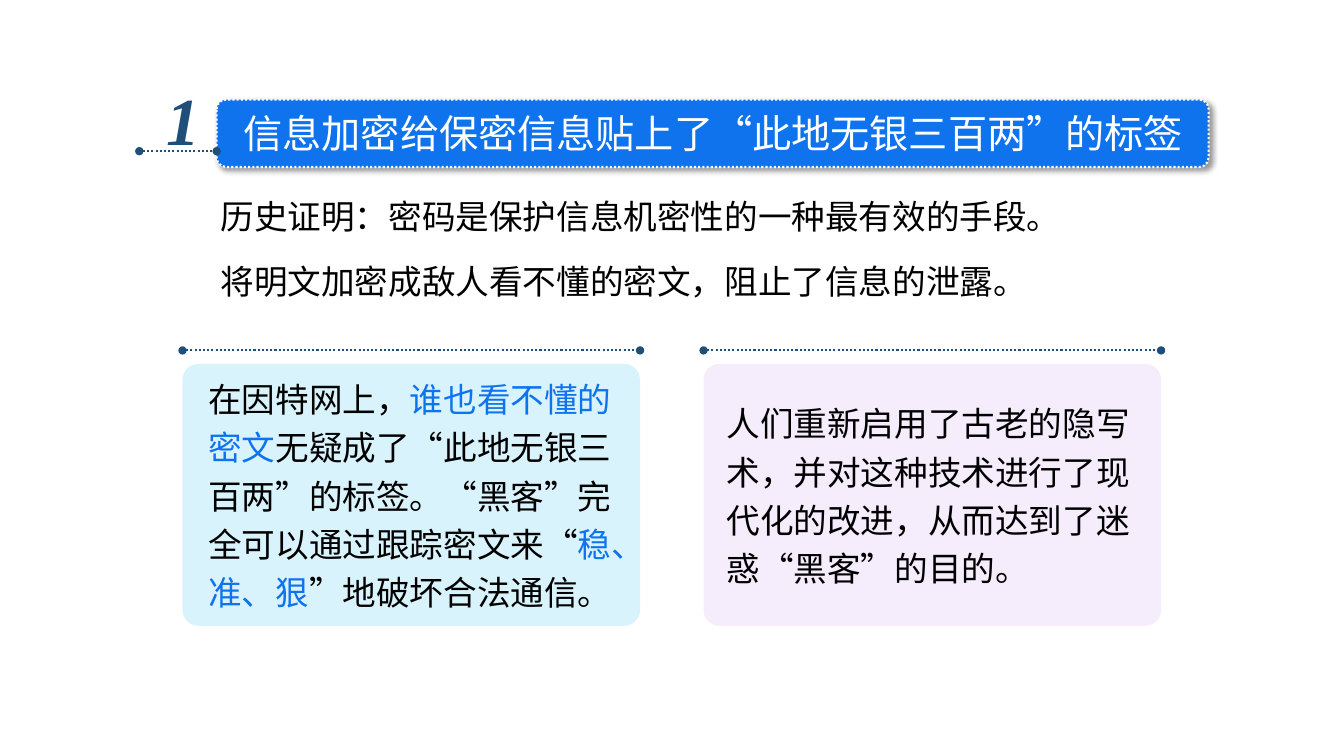
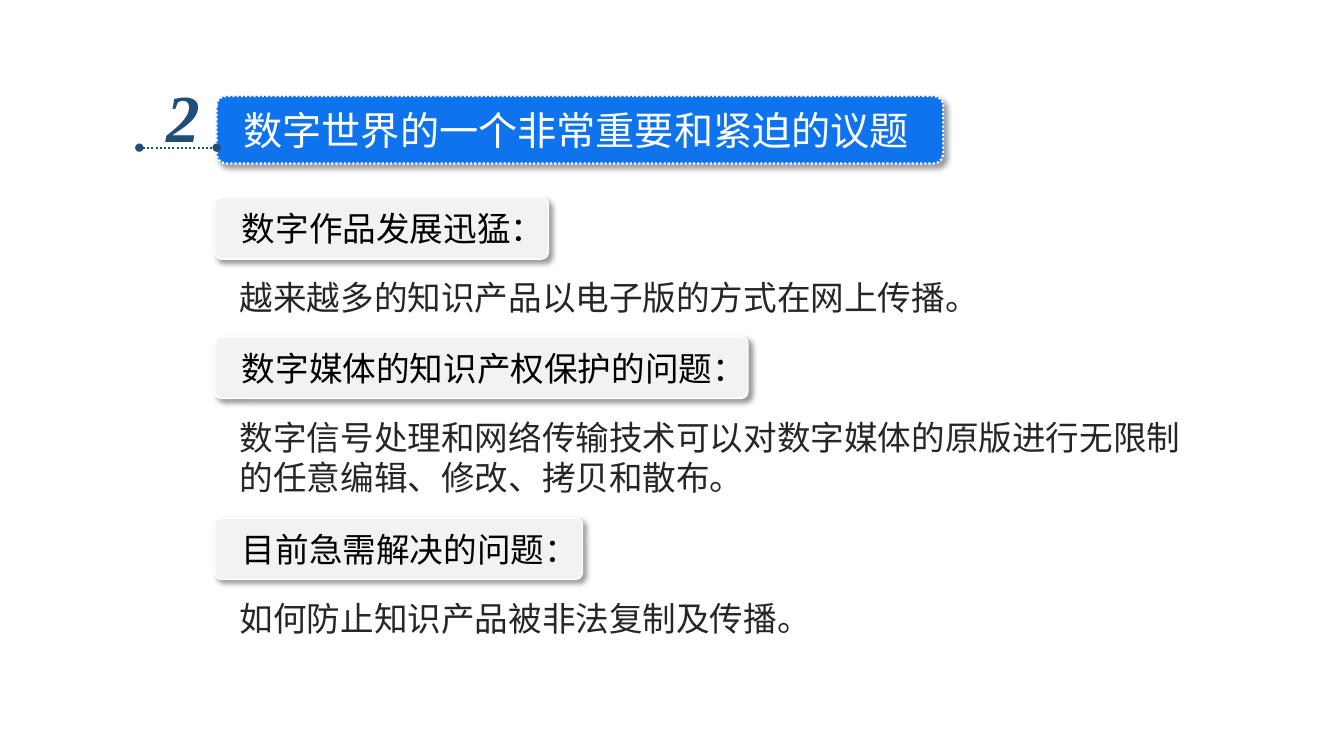
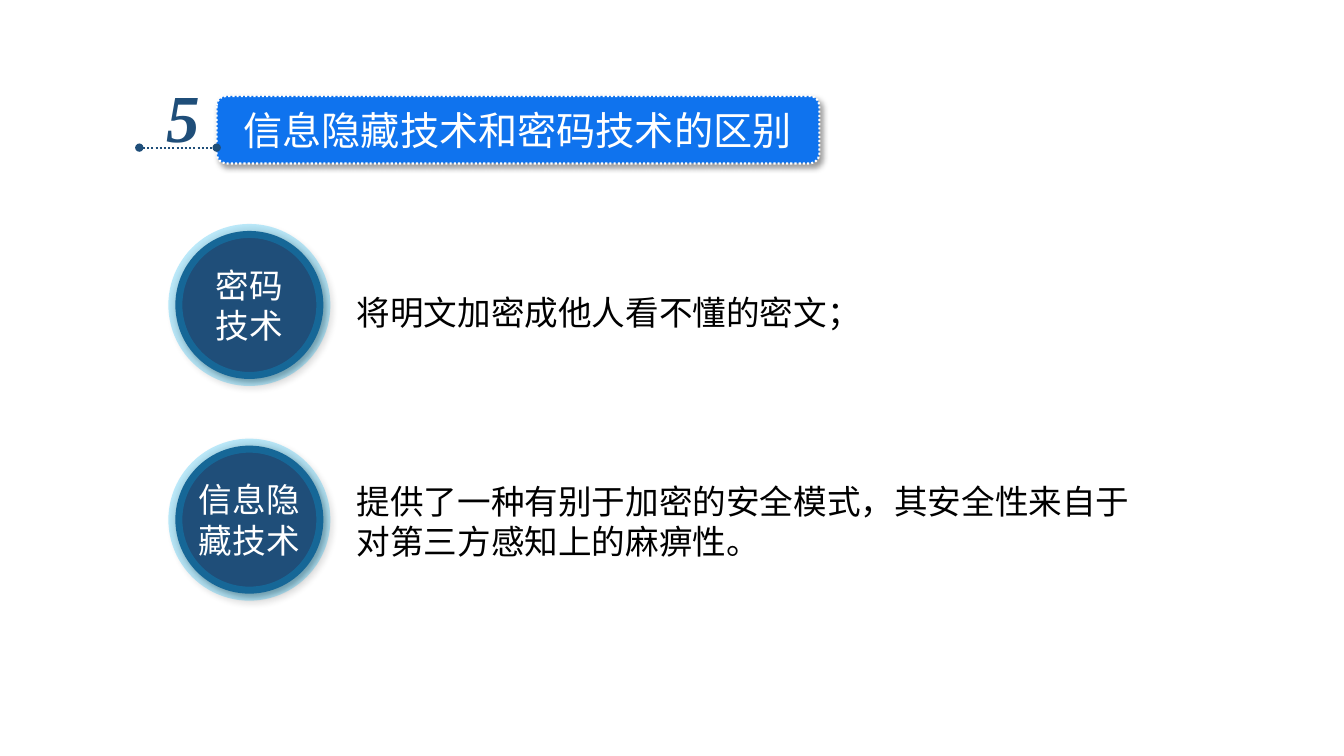
import lxml.etree
import pptx
import pptx.dml.color
import pptx.enum.dml
import pptx.enum.shapes
import pptx.enum.text
import pptx.oxml.ns
import pptx.util

Cm = pptx.util.Cm
Pt = pptx.util.Pt
qn = pptx.oxml.ns.qn
SHAPE = pptx.enum.shapes.MSO_SHAPE
ALIGN = pptx.enum.text.PP_ALIGN
ANCHOR = pptx.enum.text.MSO_ANCHOR
DOTTED = pptx.enum.dml.MSO_LINE.ROUND_DOT

COLORS = {
    "blue": "0F73EE",
    "navy": "1F4E79",
    "sky": "00B0F0",
    "lilac": "E3C9F7",
    "grey": "F2F2F2",
    "white": "FFFFFF",
    "black": "000000",
    "ink": "262626",
}


def rgb(name):
    return pptx.dml.color.RGBColor.from_string(COLORS[name])


def add_xml(parent, tag, **attrs):
    el = lxml.etree.SubElement(parent, qn(tag))
    for key, value in attrs.items():
        el.set(key, str(value))
    return el


class Deck:
    font = "Noto Sans CJK SC"
    digit_font = "Times New Roman"
    body_size = 24
    title_size = 28
    line_height = 1.05

    def __init__(self):
        self.prs = pptx.Presentation()
        self.prs.slide_width = Cm(33.87)
        self.prs.slide_height = Cm(19.05)
        self.slide = None

    def new_slide(self):
        self.slide = self.prs.slides.add_slide(self.prs.slide_layouts[6])

    def height(self, lines):
        return round(0.25 + self.line_height * lines, 2)

    def fill_text(self, tf, paragraphs, size=body_size, color="black", font=font,
                  spacing=None, align=ALIGN.LEFT, digit=False):
        tf.word_wrap = True
        for i, runs in enumerate(paragraphs):
            p = tf.paragraphs[0] if i == 0 else tf.add_paragraph()
            p.alignment = align
            if spacing:
                p.line_spacing = spacing
            if isinstance(runs, str):
                runs = [(runs, color)]
            for text, run_color in runs:
                r = p.add_run()
                r.text = text
                r.font.size = Pt(size)
                r.font.name = font
                r.font.color.rgb = rgb(run_color)
                if digit:
                    r.font.bold = r.font.italic = True
                add_xml(r._r.get_or_add_rPr(), "a:ea", typeface=font)

    def text(self, x, y, w, h, paragraphs, **style):
        sp = self.slide.shapes.add_textbox(Cm(x), Cm(y), Cm(w), Cm(h))
        self.fill_text(sp.text_frame, paragraphs, **style)

    def shape(self, kind, x, y, w, h, fill, alpha=None, adj=None, shadow=False,
              line=None, line_width=1, line_alpha=None, dash=None):
        sp = self.slide.shapes.add_shape(kind, Cm(x), Cm(y), Cm(w), Cm(h))
        if adj:
            sp.adjustments[0] = adj
        sp.fill.solid()
        sp.fill.fore_color.rgb = rgb(fill)
        if line:
            sp.line.color.rgb = rgb(line)
            sp.line.width = Pt(line_width)
            if dash:
                sp.line.dash_style = dash
        else:
            sp.line.fill.background()
        sp.shadow.inherit = False
        spPr = sp._element.spPr
        solid = qn("a:solidFill") + "/" + qn("a:srgbClr")
        for where, value in ((solid, alpha), (qn("a:ln") + "/" + solid, line_alpha)):
            if value:
                add_xml(spPr.find(where), "a:alpha", val=value * 1000)
        if shadow:
            outer = add_xml(spPr.find(qn("a:effectLst")), "a:outerShdw",
                            blurRad=Pt(4), dist=Pt(3), dir=45 * 60000,
                            algn="tl", rotWithShape=0)
            clr = add_xml(outer, "a:srgbClr", val=COLORS["black"])
            add_xml(clr, "a:alpha", val=40000)
        return sp

    def label(self, sp, paragraphs, left=0, **style):
        tf = sp.text_frame
        tf.margin_left = Cm(left)
        tf.margin_right = tf.margin_top = tf.margin_bottom = 0
        tf.vertical_anchor = ANCHOR.MIDDLE
        self.fill_text(tf, paragraphs, **style)

    def rail(self, x, y, w):
        cx = self.slide.shapes.add_connector(
            pptx.enum.shapes.MSO_CONNECTOR.STRAIGHT, Cm(x), Cm(y), Cm(x + w), Cm(y))
        cx.line.color.rgb = rgb("navy")
        cx.line.width = Pt(1.5)
        cx.line.dash_style = DOTTED
        spPr = cx._element.spPr
        ln = spPr.find(qn("a:ln"))
        for end in ("a:headEnd", "a:tailEnd"):
            add_xml(ln, end, type="oval")
        add_xml(spPr, "a:effectLst")

    def heading(self, number, title, width, top=2.42):
        sp = self.shape(SHAPE.ROUNDED_RECTANGLE, 5.46, top, width, 1.7, "blue",
                        adj=0.14, shadow=True, line="white", line_width=1.5, dash=DOTTED)
        self.label(sp, [title], left=0.61, size=self.title_size, color="white")
        self.text(3.94, top - 0.65, 1.37, 2.31, [number], size=48, color="navy",
                  font=self.digit_font, digit=True)
        self.rail(3.51, top + 1.3, 1.95)

    def card(self, x, fill, alpha, text_x, text_y, paragraphs):
        self.rail(x, 8.83, 11.53)
        self.shape(SHAPE.ROUNDED_RECTANGLE, x, 9.17, 11.53, 6.6, fill,
                   alpha=alpha, adj=0.06)
        self.text(text_x, text_y, 11.63, 0.25 + 1.22 * len(paragraphs), paragraphs,
                  spacing=1.2)

    def tag(self, y, width, title):
        sp = self.shape(SHAPE.ROUNDED_RECTANGLE, 5.41, y, width, 1.55, "grey",
                        adj=0.11, shadow=True, line="white")
        self.label(sp, [title], left=0.64)

    def badge(self, y, paragraphs):
        sp = self.shape(SHAPE.OVAL, 4.42, y, 3.73, 3.73, "navy", shadow=True,
                        line="sky", line_width=10, line_alpha=25)
        self.label(sp, paragraphs, color="white", align=ALIGN.CENTER)


def encryption_label(deck):
    deck.new_slide()
    deck.heading("1", "信息加密给保密信息贴上了“此地无银三百两”的标签", 25, top=2.51)
    lines = ["历史证明：密码是保护信息机密性的一种最有效的手段。",
             "将明文加密成敌人看不懂的密文，阻止了信息的泄露。"]
    for i, line in enumerate(lines):
        deck.text(5.31, 4.8 + 1.65 * i, 21.9, deck.height(1), [line])
    deck.card(4.6, "sky", 15, 5, 9.22, [
        [("在因特网上，", "black"), ("谁也看不懂的", "blue")],
        [("密文", "blue"), ("无疑成了“此地无银三", "black")],
        "百两”的标签。“黑客”完",
        [("全可以通过跟踪密文来“", "black"), ("稳、", "blue")],
        [("准、狠", "blue"), ("”地破坏合法通信。", "black")],
    ])
    deck.card(17.73, "lilac", 34, 18.06, 9.83, [
        "人们重新启用了古老的隐写",
        "术，并对这种技术进行了现",
        "代化的改进，从而达到了迷",
        "惑“黑客”的目的。",
    ])


def digital_world(deck):
    deck.new_slide()
    deck.heading("2", "数字世界的一个非常重要和紧迫的议题", 18.31)
    topics = [
        ("数字作品发展迅猛：", 8.41, ["越来越多的知识产品以电子版的方式在网上传播。"]),
        ("数字媒体的知识产权保护的问题：", 13.44,
         ["数字信号处理和网络传输技术可以对数字媒体的原版进行无限制",
          "的任意编辑、修改、拷贝和散布。"]),
        ("目前急需解决的问题：", 9.27, ["如何防止知识产品被非法复制及传播。"]),
    ]
    y = 4.98
    for title, width, lines in topics:
        height = deck.height(len(lines))
        deck.tag(y, width, title)
        deck.text(5.79, y + 1.88, 24.46, height, lines, color="ink")
        y += 1.88 + height + 0.33


def technique_differences(deck):
    deck.new_slide()
    deck.heading("5", "信息隐藏技术和密码技术的区别", 15.19)
    techniques = [
        (5.82, ["密码", "技术"], 6.73, 1.5, ["将明文加密成他人看不懂的密文；"]),
        (11.23, ["信息隐", "藏技术"], 11.99, None,
         ["提供了一种有别于加密的安全模式，其安全性来自于", "对第三方感知上的麻痹性。"]),
    ]
    for y, name, text_y, spacing, lines in techniques:
        deck.badge(y, name)
        deck.text(8.74, text_y, 20.17, deck.height(len(lines)), lines, spacing=spacing)


def main():
    deck = Deck()
    encryption_label(deck)
    digital_world(deck)
    technique_differences(deck)
    deck.prs.save("out.pptx")


if __name__ == "__main__":
    main()
